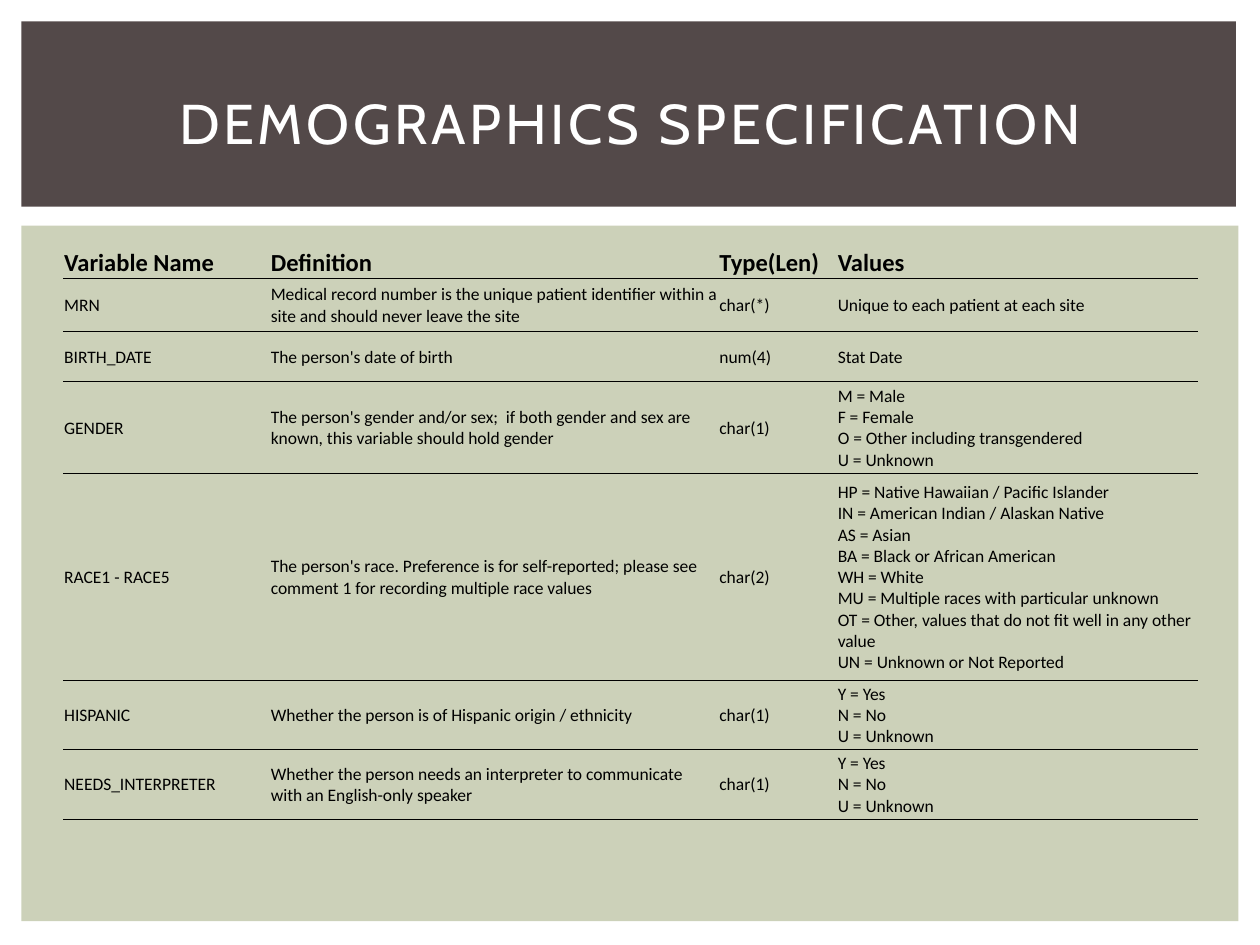
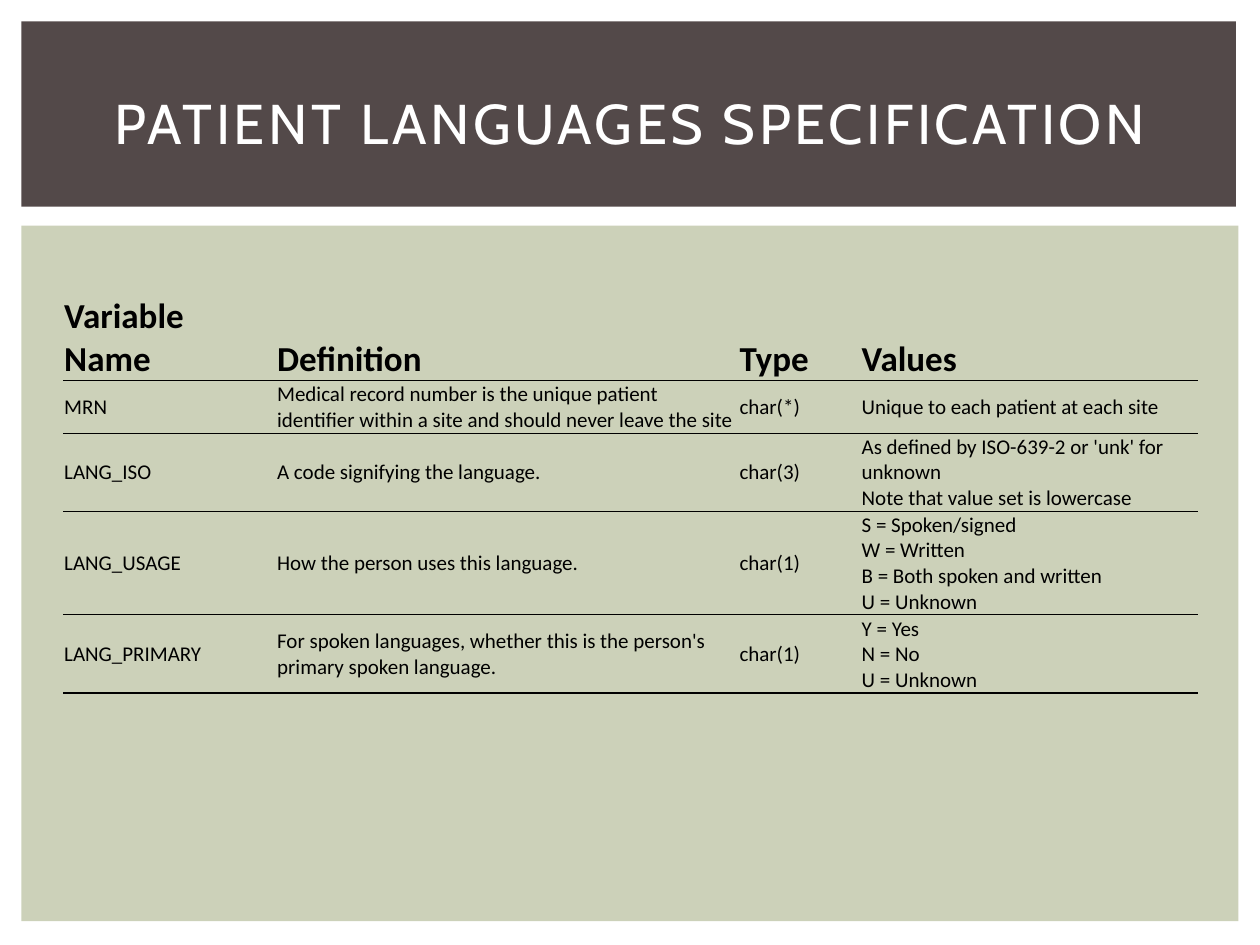
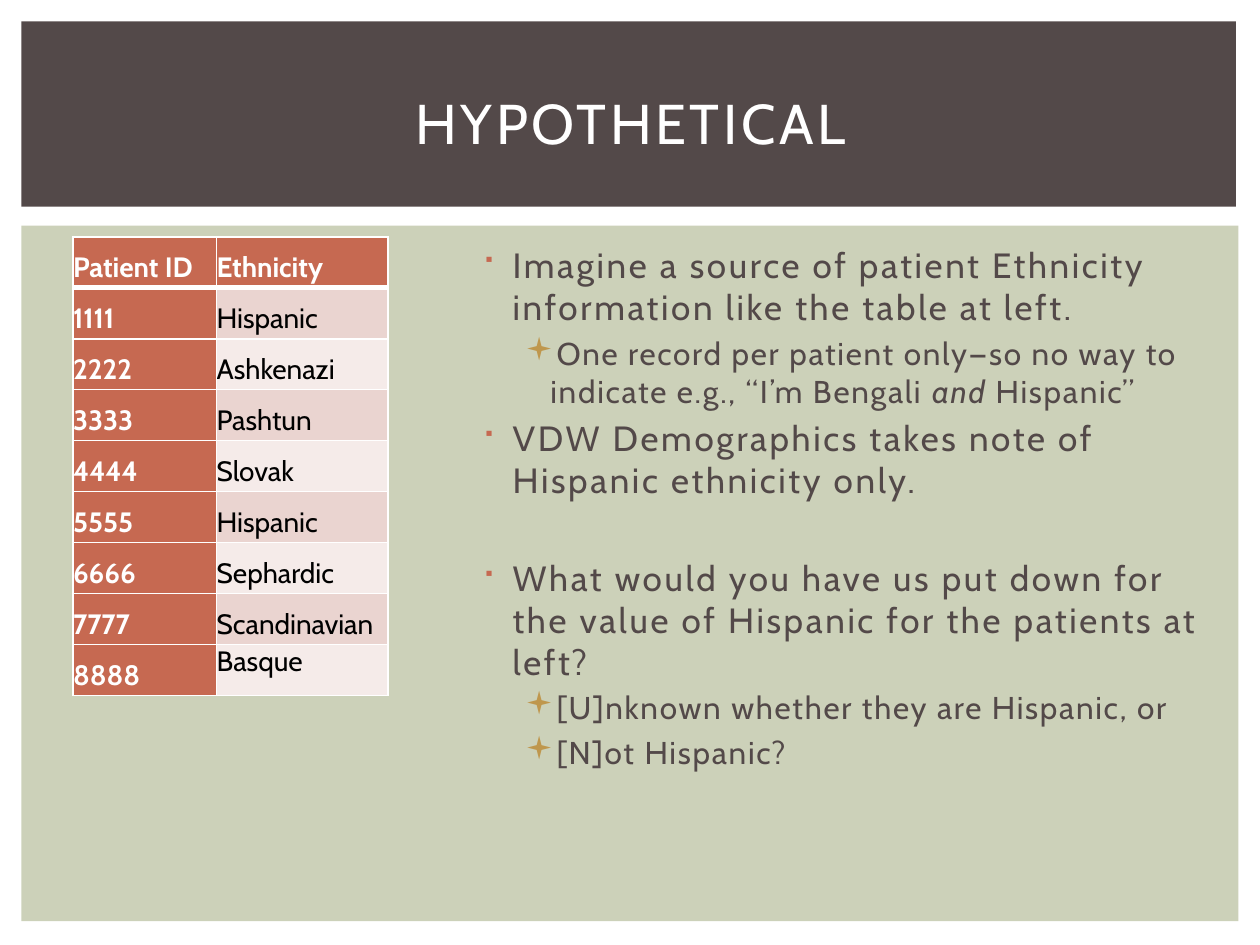
from dataclasses import dataclass, replace

from lxml import etree
from pptx import Presentation
from pptx.dml.color import RGBColor
from pptx.enum.shapes import MSO_SHAPE
from pptx.enum.text import MSO_ANCHOR, MSO_AUTO_SIZE, PP_ALIGN
from pptx.oxml.ns import qn
from pptx.slide import Slide
from pptx.table import Table, _Cell
from pptx.text.text import _Paragraph
from pptx.util import Inches, Pt

RECTANGLE = MSO_SHAPE.RECTANGLE
TOP, MIDDLE, BOTTOM = MSO_ANCHOR.TOP, MSO_ANCHOR.MIDDLE, MSO_ANCHOR.BOTTOM
CENTER = PP_ALIGN.CENTER
NO_AUTOFIT = MSO_AUTO_SIZE.NONE
TITLE_ONLY = 5
SIDES = ("L", "R", "T", "B")


# Theme
@dataclass(frozen=True)
class TextStyle:
    font: str
    size: float
    color: str
    bold: bool = False
    italic: bool = False
    spacing: float = 0


@dataclass(frozen=True)
class Theme:
    white: str = "FFFFFF"
    black: str = "000000"
    brown: str = "534949"
    sage: str = "CCD1B9"
    rust: str = "C66951"
    gold: str = "BF974D"
    stripes: tuple[str, str] = ("EAD4D0", "F5EBE9")
    title: TextStyle = TextStyle("Cabin", 32, "FFFFFF", spacing=2)
    bullet: TextStyle = TextStyle("Cabin", 20, "534949", spacing=1.5)
    sub_bullet: TextStyle = TextStyle("Cabin", 18, "534949", spacing=1)
    label: TextStyle = TextStyle("Cabin", 16, "FFFFFF", bold=True)
    entry: TextStyle = TextStyle("Cabin", 16, "000000")
    symbol_font: str = "Wingdings"
    thin: float = 0.5
    medium: float = 1
    thick: float = 3


THEME = Theme()


# Content descriptions
@dataclass(frozen=True)
class Box:
    left: float
    top: float
    width: float
    height: float

    def lengths(self) -> tuple[Inches, ...]:
        return tuple(Inches(n) for n in (self.left, self.top, self.width, self.height))


@dataclass(frozen=True)
class Specification:
    title: str
    top: float
    columns: tuple[float, ...]
    row_heights: tuple[float, ...]
    header_size: float
    body_size: float
    last_border: float
    rows: tuple[tuple[str, ...], ...]


@dataclass(frozen=True)
class Bullet:
    runs: tuple[str, ...]
    level: int = 0
    space_before: float = 4
    italic_run: int = -1


@dataclass(frozen=True)
class BulletLevel:
    style: TextStyle
    symbol: str
    color: str
    margin: float
    indent: float


BANDS = (
    (Box(0.17, 1.79, 9.66, 5.52), THEME.sage),
    (Box(0.17, 0.17, 9.64, 1.47), THEME.brown),
)
TITLE_BOX = Box(0.42, 0.39, 9.17, 1.15)

LEVELS = (
    BulletLevel(THEME.bullet, "■", THEME.rust, 0.3, -0.25),
    BulletLevel(THEME.sub_bullet, "▪", THEME.gold, 0.6, -0.2),
)

MRN_ROW = (
    "MRN",
    "Medical record number is the unique patient identifier within a site "
    "and should never leave the site",
    "char(*)",
    "Unique to each patient at each site",
)
YES_NO = "Y = Yes\nN = No\nU = Unknown"

SPECIFICATIONS = (
    Specification(
        title="DEMOGRAPHICS SPECIFICATION",
        top=1.95,
        columns=(1.64, 3.56, 0.94, 2.87),
        row_heights=(0.26, 0.42, 0.4, 0.73, 1.64, 0.55, 0.55),
        header_size=14,
        body_size=10,
        last_border=THEME.thin,
        rows=(
            ("Variable Name", "Definition", "Type(Len)", "Values"),
            MRN_ROW,
            ("BIRTH_DATE", "The person's date of birth", "num(4)", "Stat Date"),
            (
                "GENDER",
                "The person's gender and/or sex;  if both gender and sex are known, "
                "this variable should hold gender",
                "char(1)",
                "M = Male\nF = Female\nO = Other including transgendered\nU = Unknown",
            ),
            (
                "RACE1 - RACE5",
                "The person's race. Preference is for self-reported; please see "
                "comment 1 for recording multiple race values",
                "char(2)",
                "HP = Native Hawaiian / Pacific Islander\n"
                "IN = American Indian / Alaskan Native\n"
                "AS = Asian\n"
                "BA = Black or African American\n"
                "WH = White\n"
                "MU = Multiple races with particular unknown\n"
                "OT = Other, values that do not fit well in any other value\n"
                "UN = Unknown or Not Reported",
            ),
            (
                "HISPANIC",
                "Whether the person is of Hispanic origin / ethnicity",
                "char(1)",
                YES_NO,
            ),
            (
                "NEEDS_INTERPRETER",
                "Whether the person needs an interpreter to communicate with an "
                "English-only speaker",
                "char(1)",
                YES_NO,
            ),
        ),
    ),
    Specification(
        title="PATIENT LANGUAGES SPECIFICATION",
        top=2.33,
        columns=(1.69, 3.67, 0.97, 2.68),
        row_heights=(0.27, 0.41, 0.62, 0.75, 0.57),
        header_size=20,
        body_size=12,
        last_border=THEME.medium,
        rows=(
            ("Variable Name", "Definition", "Type", "Values"),
            MRN_ROW,
            (
                "LANG_ISO",
                "A code signifying the language.",
                "char(3)",
                "As defined by ISO-639-2 or 'unk' for unknown\n"
                "Note that value set is lowercase",
            ),
            (
                "LANG_USAGE",
                "How the person uses this language.",
                "char(1)",
                "S = Spoken/signed\nW = Written\nB = Both spoken and written\nU = Unknown",
            ),
            (
                "LANG_PRIMARY",
                "For spoken languages, whether this is the person's primary spoken language.",
                "char(1)",
                YES_NO,
            ),
        ),
    ),
)

ETHNICITIES = ("Hispanic", "Ashkenazi", "Pashtun", "Slovak", "Hispanic",
               "Sephardic", "Scandinavian", "Basque")
PATIENT_ROWS = (
    ("Patient ID", "Ethnicity"),
    *((str(number) * 4, name) for number, name in enumerate(ETHNICITIES, start=1)),
)
PATIENT_TABLE_HEIGHT = 3.64

QUESTION_BOX = Box(3.67, 1.88, 5.97, 4.82)
QUESTION_BULLETS = (
    Bullet(("Imagine a source of patient Ethnicity information like the table at left.",),
           space_before=0),
    Bullet(("One record per patient only—so no way to indicate e.g., “I’m Bengali ",
            "and", " Hispanic”"), level=1, italic_run=1),
    Bullet(("VDW Demographics takes note of Hispanic ethnicity only.",)),
    Bullet(("What would you have us put down for the value of Hispanic for the "
            "patients at left?",), space_before=32),
    Bullet(("[U]nknown whether they are Hispanic, or",), level=1, space_before=3),
    Bullet(("[N]ot Hispanic?",), level=1),
)


# Text
def add_run(paragraph: _Paragraph, text: str, style: TextStyle) -> None:
    run = paragraph.add_run()
    run.text = text
    run.font.name = style.font
    run.font.size = Pt(style.size)
    run.font.bold = style.bold
    run.font.italic = style.italic
    run.font.color.rgb = RGBColor.from_string(style.color)
    if style.spacing:
        run.font._element.set("spc", str(round(style.spacing * 100)))


def add_bullet(paragraph: _Paragraph, bullet: Bullet) -> None:
    level = LEVELS[bullet.level]
    paragraph.level = bullet.level
    paragraph.space_before = Pt(bullet.space_before)
    properties = paragraph._p.get_or_add_pPr()
    properties.set("marL", str(Inches(level.margin)))
    properties.set("indent", str(Inches(level.indent)))
    color = etree.SubElement(properties, qn("a:buClr"))
    etree.SubElement(color, qn("a:srgbClr"), val=level.color)
    etree.SubElement(properties, qn("a:buFont"), typeface=THEME.symbol_font)
    etree.SubElement(properties, qn("a:buChar"), char=level.symbol)
    for index, text in enumerate(bullet.runs):
        add_run(paragraph, text, replace(level.style, italic=index == bullet.italic_run))


# Tables
def set_borders(cell: _Cell, color: str, widths: dict[str, float]) -> None:
    properties = cell._tc.get_or_add_tcPr()
    for index, side in enumerate(SIDES):
        line = etree.Element(qn(f"a:ln{side}"), w=str(Pt(widths.get(side, 0))))
        if side in widths:
            fill = etree.SubElement(line, qn("a:solidFill"))
            etree.SubElement(fill, qn("a:srgbClr"), val=color)
        else:
            etree.SubElement(line, qn("a:noFill"))
        properties.insert(index, line)


def fill_cell(cell: _Cell, text: str, style: TextStyle, anchor: MSO_ANCHOR,
              margins: tuple[float, float, float, float]) -> None:
    cell.vertical_anchor = anchor
    (cell.margin_left, cell.margin_top,
     cell.margin_right, cell.margin_bottom) = (Inches(margin) for margin in margins)
    paragraph = cell.text_frame.paragraphs[0]
    for index, line in enumerate(text.split("\n")):
        if index:
            paragraph.add_line_break()
        add_run(paragraph, line, style)


def add_plain_table(slide: Slide, left: float, top: float, columns: tuple[float, ...],
                    row_heights: tuple[float, ...]) -> Table:
    box = Box(left, top, sum(columns), sum(row_heights))
    table = slide.shapes.add_table(len(row_heights), len(columns), *box.lengths()).table
    table.first_row = table.horz_banding = False
    for column, width in zip(table.columns, columns):
        column.width = Inches(width)
    for row, height in zip(table.rows, row_heights):
        row.height = Inches(height)
    return table


def add_specification_table(slide: Slide, specification: Specification) -> None:
    table = add_plain_table(slide, 0.5, specification.top, specification.columns,
                            specification.row_heights)
    header = TextStyle("Calibri", specification.header_size, THEME.black, bold=True)
    body = TextStyle("Calibri", specification.body_size, THEME.black)
    last = len(specification.rows) - 1
    for row, texts in enumerate(specification.rows):
        if row == 0:
            borders = {"B": THEME.medium}
        else:
            borders = {"T": THEME.medium if row == 1 else THEME.thin,
                       "B": specification.last_border if row == last else THEME.thin}
        for column, text in enumerate(texts):
            cell = table.cell(row, column)
            fill_cell(cell, text, body if row else header, MIDDLE if row else BOTTOM,
                      (0.01, 0.01, 0.01, 0))
            cell.fill.background()
            set_borders(cell, THEME.black, borders)


def add_patient_table(slide: Slide) -> None:
    count = len(PATIENT_ROWS)
    table = add_plain_table(slide, 0.58, 1.88, (1.14, 1.36),
                            (PATIENT_TABLE_HEIGHT / count,) * count)
    for row, texts in enumerate(PATIENT_ROWS):
        borders = dict.fromkeys(SIDES, THEME.medium)
        if row == 0:
            borders["B"] = THEME.thick
        elif row == 1:
            borders["T"] = THEME.thick
        for column, text in enumerate(texts):
            cell = table.cell(row, column)
            is_label = row == 0 or column == 0
            top_margin = 0 if text == ETHNICITIES[-1] else 0.11
            fill_cell(cell, text, THEME.label if is_label else THEME.entry, TOP,
                      (0, top_margin, 0, 0))
            cell.fill.solid()
            color = THEME.rust if is_label else THEME.stripes[(row - 1) % 2]
            cell.fill.fore_color.rgb = RGBColor.from_string(color)
            set_borders(cell, THEME.white, borders)


# Slides
def add_titled_slide(presentation: Presentation, text: str) -> Slide:
    slide = presentation.slides.add_slide(presentation.slide_layouts[TITLE_ONLY])
    for index, (box, color) in enumerate(BANDS):
        band = slide.shapes.add_shape(RECTANGLE, *box.lengths())
        band.shadow.inherit = False
        band.fill.solid()
        band.fill.fore_color.rgb = RGBColor.from_string(color)
        band.line.fill.background()
        # Bands lie behind the title
        slide.shapes.element.insert(2 + index, band.element)
    title = slide.shapes.title
    title.left, title.top, title.width, title.height = TITLE_BOX.lengths()
    frame = title.text_frame
    frame.auto_size = NO_AUTOFIT
    frame.vertical_anchor = MIDDLE
    frame.paragraphs[0].alignment = CENTER
    add_run(frame.paragraphs[0], text, THEME.title)
    return slide


def add_questions(slide: Slide) -> None:
    frame = slide.shapes.add_textbox(*QUESTION_BOX.lengths()).text_frame
    frame.word_wrap = True
    for index, bullet in enumerate(QUESTION_BULLETS):
        add_bullet(frame.add_paragraph() if index else frame.paragraphs[0], bullet)


def main() -> None:
    presentation = Presentation()
    presentation.slide_width = Inches(10)
    presentation.slide_height = Inches(7.5)
    for specification in SPECIFICATIONS:
        slide = add_titled_slide(presentation, specification.title)
        add_specification_table(slide, specification)
    slide = add_titled_slide(presentation, "HYPOTHETICAL")
    add_questions(slide)
    add_patient_table(slide)
    presentation.save("out.pptx")


if __name__ == "__main__":
    main()
